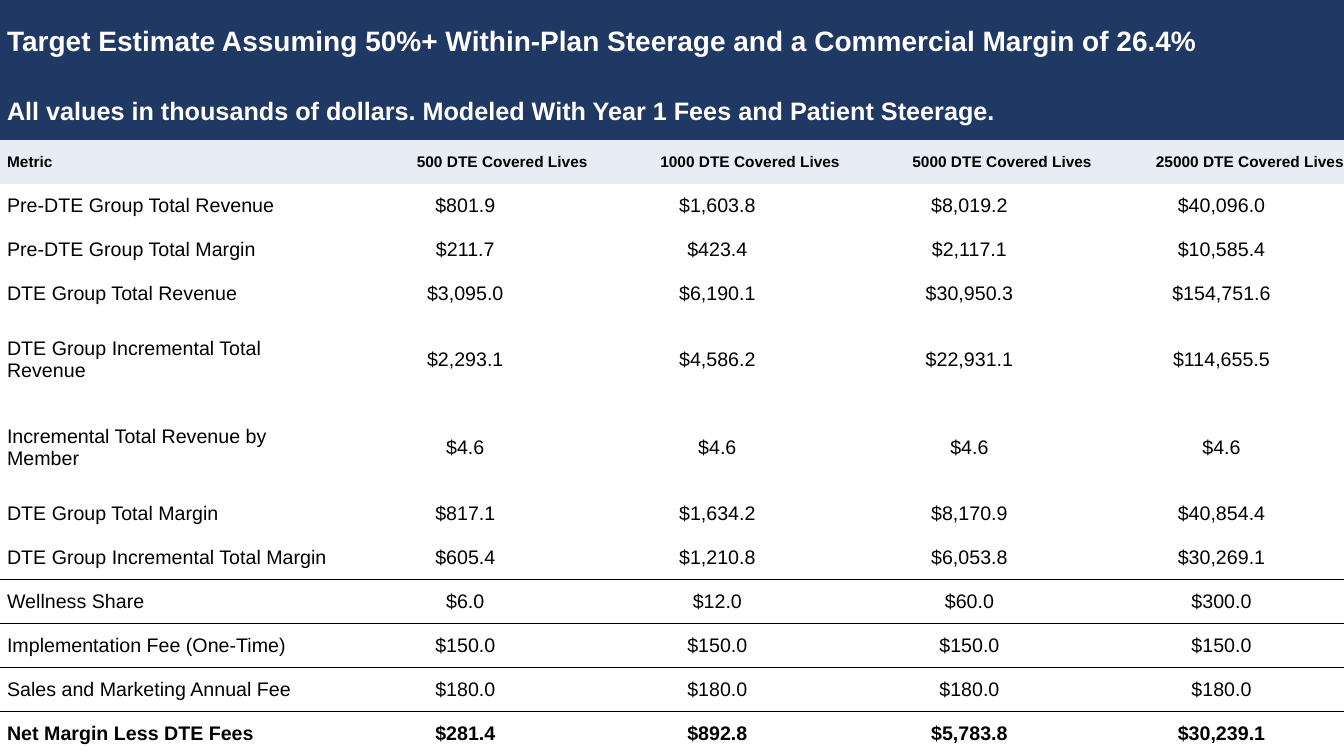
from dataclasses import dataclass

from lxml.etree import SubElement
from pptx import Presentation
from pptx.dml.color import RGBColor
from pptx.enum.text import MSO_ANCHOR, PP_ALIGN
from pptx.oxml import parse_xml
from pptx.oxml.ns import nsdecls, qn
from pptx.table import Table, _Cell
from pptx.util import Inches, Pt

COLORS = {"navy": "203864", "pale": "E7ECF5", "white": "FFFFFF", "black": "000000"}
FONT = "Arial"
NO_STYLE = "{2D5ABB26-0587-4C30-8999-92F81FD0307C}"
SLIDE_W, SLIDE_H = 13.33, 7.5
TITLE_H, SUBTITLE_H = 0.83, 0.56
METRIC_W, VALUE_W = 3.33, 2.5


@dataclass(frozen=True)
class RowStyle:
    size: int
    bold: bool = False
    color: str = "black"
    fill: str | None = None
    value_align: PP_ALIGN = PP_ALIGN.CENTER


@dataclass(frozen=True)
class Row:
    texts: tuple[str, ...]
    style: RowStyle
    lines: int = 1
    rule_below: bool = False


TITLE = RowStyle(20, True, "white", "navy")
SUBTITLE = RowStyle(18, True, "white", "navy")
HEADER = RowStyle(11, True, fill="pale", value_align=PP_ALIGN.RIGHT)
BODY = RowStyle(14)
TOTAL = RowStyle(14, True)

ROWS = [
    Row(("Target Estimate Assuming 50%+ Within-Plan Steerage and a Commercial Margin of 26.4%",), TITLE),
    Row(("All values in thousands of dollars. Modeled With Year 1 Fees and Patient Steerage.",), SUBTITLE),
    Row(("Metric", "500 DTE Covered Lives", "1000 DTE Covered Lives",
         "5000 DTE Covered Lives", "25000 DTE Covered Lives"), HEADER),
    Row(("Pre-DTE Group Total Revenue", "$801.9", "$1,603.8", "$8,019.2", "$40,096.0"), BODY),
    Row(("Pre-DTE Group Total Margin", "$211.7", "$423.4", "$2,117.1", "$10,585.4"), BODY),
    Row(("DTE Group Total Revenue", "$3,095.0", "$6,190.1", "$30,950.3", "$154,751.6"), BODY),
    Row(("DTE Group Incremental Total Revenue", "$2,293.1", "$4,586.2", "$22,931.1", "$114,655.5"),
        BODY, lines=2),
    Row(("Incremental Total Revenue by Member", "$4.6", "$4.6", "$4.6", "$4.6"), BODY, lines=2),
    Row(("DTE Group Total Margin", "$817.1", "$1,634.2", "$8,170.9", "$40,854.4"), BODY),
    Row(("DTE Group Incremental Total Margin", "$605.4", "$1,210.8", "$6,053.8", "$30,269.1"),
        BODY, rule_below=True),
    Row(("Wellness Share", "$6.0", "$12.0", "$60.0", "$300.0"), BODY),
    Row(("Implementation Fee (One-Time)", "$150.0", "$150.0", "$150.0", "$150.0"),
        BODY, rule_below=True),
    Row(("Sales and Marketing Annual Fee", "$180.0", "$180.0", "$180.0", "$180.0"), BODY),
    Row(("Net Margin Less DTE Fees", "$281.4", "$892.8", "$5,783.8", "$30,239.1"), TOTAL),
]


def add_rule(cell: _Cell, side: str) -> None:
    """Draw a 1 pt black border on the side named by its tag, such as lnB."""
    ln = parse_xml(f'<a:{side} {nsdecls("a")} w="{Pt(1)}"/>')
    solid = SubElement(ln, qn("a:solidFill"))
    SubElement(solid, qn("a:srgbClr"), val=COLORS["black"])
    cell._tc.get_or_add_tcPr().insert(0, ln)


def fill_cell(cell: _Cell, text: str, style: RowStyle, align: PP_ALIGN) -> None:
    cell.margin_left = cell.margin_right = cell.margin_top = cell.margin_bottom = 0
    cell.vertical_anchor = MSO_ANCHOR.MIDDLE
    if style.fill:
        cell.fill.solid()
        cell.fill.fore_color.rgb = RGBColor.from_string(COLORS[style.fill])
    else:
        cell.fill.background()
    p = cell.text_frame.paragraphs[0]
    p.text = text
    p.alignment = align
    pPr = p._p.get_or_add_pPr()
    pPr.set("marL", str(Inches(0.07)))
    pPr.set("indent", "0")
    p.font.name = FONT
    p.font.size = Pt(style.size)
    p.font.bold = style.bold
    p.font.color.rgb = RGBColor.from_string(COLORS[style.color])


def fill_row(table: Table, index: int, row: Row) -> None:
    last = len(table.columns) - 1
    if len(row.texts) == 1:
        table.cell(index, 0).merge(table.cell(index, last))
    for col, text in enumerate(row.texts):
        cell = table.cell(index, col)
        align = row.style.value_align if col else PP_ALIGN.LEFT
        fill_cell(cell, text, row.style, align)
        if row.rule_below:
            add_rule(cell, "lnB")
            add_rule(table.cell(index + 1, col), "lnT")


def size_table(table: Table) -> None:
    """Share the height under the two banner rows by the lines each row takes."""
    banner = [TITLE_H, SUBTITLE_H]
    metrics = ROWS[len(banner):]
    line_h = (SLIDE_H - sum(banner)) / sum(row.lines for row in metrics)
    heights = banner + [line_h * row.lines for row in metrics]
    for table_row, height in zip(table.rows, heights):
        table_row.height = Inches(height)
    for col, column in enumerate(table.columns):
        column.width = Inches(VALUE_W if col else METRIC_W)


def main() -> None:
    prs = Presentation()
    prs.slide_width, prs.slide_height = Inches(SLIDE_W), Inches(SLIDE_H)
    s = prs.slides.add_slide(prs.slide_layouts[6])
    table = s.shapes.add_table(
        len(ROWS), 5, 0, 0, Inches(SLIDE_W), Inches(SLIDE_H)).table
    table.first_row = table.horz_banding = False
    table._tbl.tblPr.find(qn("a:tableStyleId")).text = NO_STYLE
    size_table(table)
    for index, row in enumerate(ROWS):
        fill_row(table, index, row)
    prs.save("out.pptx")


if __name__ == "__main__":
    main()
